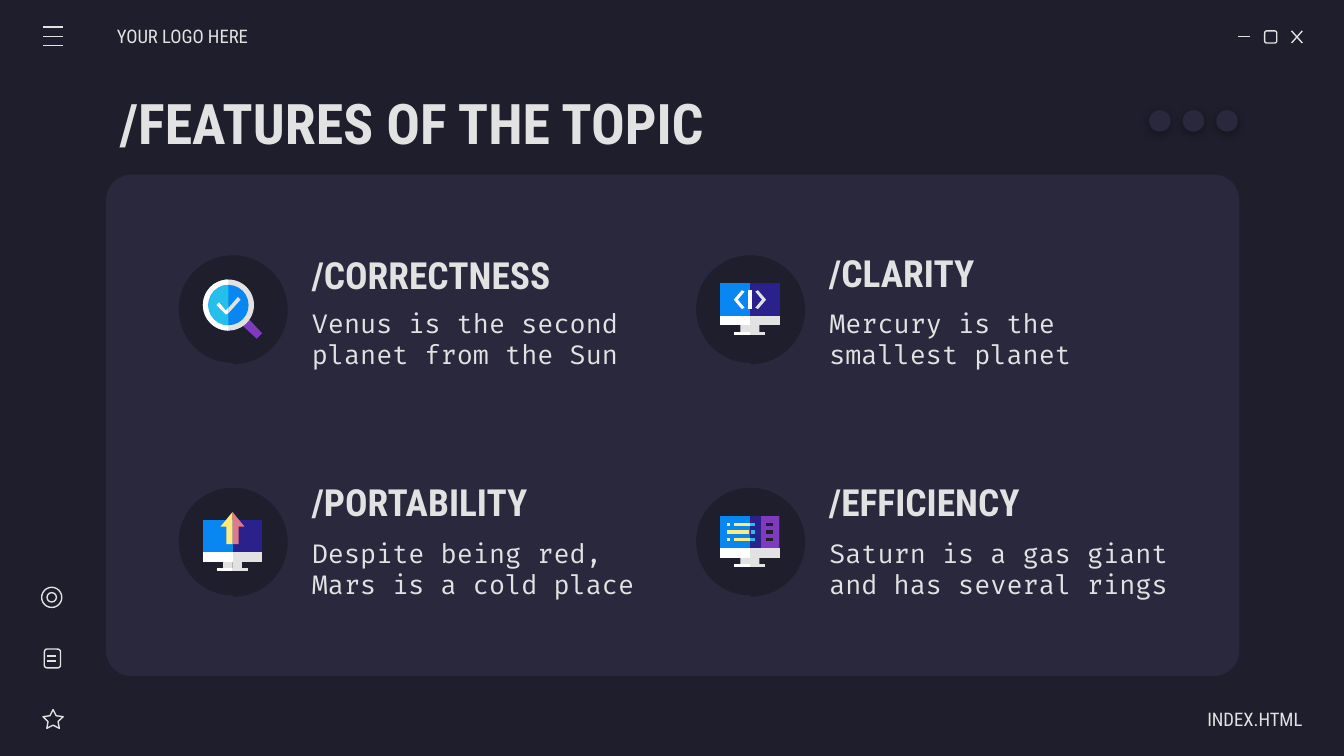
from lxml import etree
from pptx import Presentation
from pptx.dml.color import RGBColor
from pptx.enum import shapes, text
from pptx.oxml.ns import qn
from pptx.util import Inches, Pt

C = {"bg": "1E1E2C", "panel": "29283D", "light": "E2E2E2", "white": "FFFFFF",
     "blue": "0887F2", "indigo": "2B218D", "cyan": "24BFEB", "purple": "7E3BBE",
     "yellow": "FFEA7D", "pink": "E07A88", "black": "000000"}
KIND = shapes.MSO_SHAPE
CONDENSED, MONO = "Roboto Condensed", "Fira Code"
LABEL = {"name": CONDENSED, "size": Pt(10), "bold": False}
TITLE = {"name": CONDENSED, "size": Pt(30), "bold": True}
HEADING = {"name": CONDENSED, "size": Pt(20), "bold": True}
BODY = {"name": MONO, "size": Pt(14), "bold": False}


def rgb(name):
    return RGBColor.from_string(C[name])


def set_attrs(obj, values):
    for name, value in values.items():
        setattr(obj, name, value)


def add_filled(s, kind, box, color, adj=()):
    sp = s.shapes.add_shape(kind, *map(Inches, box))
    for i, value in enumerate(adj):
        sp.adjustments[i] = value
    sp.shadow.inherit = False
    sp.fill.solid()
    sp.fill.fore_color.rgb = rgb(color)
    sp.line.fill.background()
    return sp


def add_outline(s, kind, box):
    sp = s.shapes.add_shape(kind, *map(Inches, box))
    sp.shadow.inherit = False
    sp.fill.background()
    sp.line.color.rgb = rgb("light")
    sp.line.width = Pt(0.75)
    return sp


def add_line(s, *ends):
    ln = s.shapes.add_connector(shapes.MSO_CONNECTOR.STRAIGHT, *map(Inches, ends))
    ln.line.color.rgb = rgb("light")
    ln.line.width = Pt(0.75)
    etree.SubElement(ln._element.spPr, qn("a:effectLst"))


def add_polygon(s, center, color, points):
    """Points are hundredths of an inch from the center."""
    pts = [(round(x * 10), round(y * 10)) for x, y in points]
    builder = s.shapes.build_freeform(*pts[0], scale=914.4)
    builder.add_line_segments(pts[1:], close=True)
    sp = builder.convert_to_shape(*map(Inches, center))
    sp.shadow.inherit = False
    sp.fill.solid()
    sp.fill.fore_color.rgb = rgb(color)
    sp.line.fill.background()


def rect(x0, y0, x1, y1):
    return [(x0, y0), (x1, y0), (x1, y1), (x0, y1)]


def add_mirrored(s, center, left, right, points):
    add_polygon(s, center, left, points)
    add_polygon(s, center, right, [(-x, y) for x, y in points])


def write(sp, words, fmt, align=text.PP_ALIGN.LEFT, left=0.1, right=0.1):
    tf = sp.text_frame
    tf.text = words
    set_attrs(tf, {"word_wrap": True, "auto_size": text.MSO_AUTO_SIZE.NONE,
                   "vertical_anchor": text.MSO_ANCHOR.MIDDLE,
                   "margin_left": Inches(left), "margin_right": Inches(right),
                   "margin_top": Inches(0.1), "margin_bottom": Inches(0.1)})
    p = tf.paragraphs[0]
    p.alignment = align
    r = p.runs[0]
    set_attrs(r.font, fmt)
    r.font.color.rgb = rgb("light")


def add_text(s, box, words, fmt, **layout):
    write(s.shapes.add_textbox(*map(Inches, box)), words, fmt, **layout)


def fill_placeholder(s, ph, box, words, fmt):
    """Place the placeholder, drop its bullet and bring it to the front."""
    set_attrs(ph, dict(zip(("left", "top", "width", "height"), map(Inches, box))))
    write(ph, words, fmt)
    p = ph.text_frame.paragraphs[0]
    pPr = p._p.get_or_add_pPr()
    pPr.set("marL", "0")
    pPr.set("indent", "0")
    etree.SubElement(pPr, qn("a:buNone"))
    p.space_before = Pt(0)
    s.shapes.element.append(ph.element)


def add_monitor(s, c, chin):
    add_mirrored(s, c, "blue", "indigo", rect(-22, chin - 24, 0, chin))
    add_mirrored(s, c, "light", "light",
                 [(0, chin + 6), (-7, chin + 7), (-7, chin + 13), (0, chin + 13)])
    add_mirrored(s, c, "white", "light", rect(-11.5, chin + 12, 0, chin + 14))
    add_mirrored(s, c, "white", "light", rect(-22, chin, 0, chin + 7))


def add_magnifier(s, c):
    add_polygon(s, c, "purple", [(10, 5), (5, 10), (18, 22), (22, 18)])
    x, y = c[0] - 0.03, c[1] - 0.03
    for radius, left, right in ((0.19, "white", "light"), (0.15, "cyan", "blue")):
        box = (x - radius, y - radius, 2 * radius, 2 * radius)
        add_filled(s, KIND.OVAL, box, right)
        add_filled(s, KIND.CHORD, box, left, (54, 162))
    add_polygon(s, c, "light", [(4, -9), (-3, -1), (-3, 3), (6, -7)])
    add_polygon(s, c, "white",
                [(-10, -5), (-12, -3), (-5, 4), (-3, 3), (-3, -1), (-5, 1)])


def add_code_screen(s, c):
    add_monitor(s, c, 5)
    add_mirrored(s, c, "white", "light", [(-6, -14), (-12, -7), (-6, 0),
                                          (-4, -1), (-9, -7), (-4, -13)])
    add_polygon(s, c, "white", rect(-1.5, -14, 1.5, 0))


def add_upload_screen(s, c):
    add_monitor(s, c, 8)
    add_mirrored(s, c, "yellow", "pink",
                 [(0, -22), (-9, -11), (-4.5, -11), (-4.5, 2), (0, 2)])


def add_list_screen(s, c):
    add_monitor(s, c, 5)
    add_polygon(s, c, "purple", rect(8, -19, 22, 5))
    for y, bars in ((-14, ((-17, -15), (-12, 0), (0, 4))),
                    (-8.5, ((-17, -1), (1, 4))),
                    (-3, ((-17, -15), (-12, 0), (0, 4)))):
        for x0, x1 in bars:
            add_polygon(s, c, "cyan" if x0 >= 0 else "yellow", rect(x0, y, x1, y + 2.5))
        add_polygon(s, c, "bg", rect(12, y, 17, y + 2.5))


def add_feature(s, ph, x, y, heading, heading_y, body, body_y, add_icon):
    add_filled(s, KIND.OVAL, (x, y, 0.8, 0.8), "bg")
    pie = add_filled(s, KIND.PIE, (x, y, 0.81, 0.81), "bg", (54.39, 162))
    pie.rotation = 180
    add_icon(s, (x + 0.4, y + 0.4))
    add_text(s, (x + 0.89, heading_y, 2.73, 0.43), heading, HEADING)
    fill_placeholder(s, ph, (x + 0.89, body_y, 2.73, 0.56), body, BODY)


def add_window_controls(s):
    add_line(s, 9.21, 0.27, 9.3, 0.27)
    add_outline(s, KIND.ROUNDED_RECTANGLE, (9.41, 0.23, 0.09, 0.09))
    add_line(s, 9.61, 0.23, 9.69, 0.32)
    add_line(s, 9.69, 0.23, 9.61, 0.32)


def add_sidebar(s):
    for y in (0.2, 0.27, 0.34):
        add_line(s, 0.32, y, 0.47, y)
    star = add_outline(s, KIND.STAR_5_POINT, (0.32, 5.28, 0.15, 0.14))
    star.adjustments[0] = 0.25
    add_outline(s, KIND.ROUNDED_RECTANGLE, (0.33, 4.83, 0.12, 0.14))
    for y in (4.88, 4.92):
        add_line(s, 0.35, y, 0.42, y)
    add_outline(s, KIND.OVAL, (0.31, 4.37, 0.15, 0.15))
    add_outline(s, KIND.OVAL, (0.35, 4.41, 0.07, 0.07))


def add_shadowed_dot(s, x):
    sp = add_filled(s, KIND.OVAL, (x, 0.82, 0.16, 0.16), "panel")
    effects = sp._element.spPr.find(qn("a:effectLst"))
    shadow = etree.SubElement(effects, qn("a:outerShdw"), blurRad=str(Pt(4.5)),
                              dist=str(Pt(1.5)), dir="5400000")
    color = etree.SubElement(shadow, qn("a:srgbClr"), val=C["black"])
    etree.SubElement(color, qn("a:alpha"), val="30000")


def main():
    prs = Presentation()
    prs.slide_width, prs.slide_height = Inches(10), Inches(10 * 9 / 16)
    s = prs.slides.add_slide(prs.slide_layouts.get_by_name("Comparison"))
    s.background.fill.solid()
    s.background.fill.fore_color.rgb = rgb("bg")
    title, *bodies = list(s.placeholders)

    add_filled(s, KIND.ROUNDED_RECTANGLE, (0.79, 1.3, 8.43, 3.73), "panel", (0.05,))
    add_window_controls(s)
    add_sidebar(s)
    add_text(s, (0.87, 0.12, 1.17, 0.3), "YOUR LOGO HERE", LABEL, left=0)
    add_text(s, (8.52, 5.2, 1.17, 0.3), "INDEX.HTML", LABEL,
             align=text.PP_ALIGN.RIGHT, right=0)
    fill_placeholder(s, title, (0.79, 0.59, 8.43, 0.63), "/FEATURES OF THE TOPIC", TITLE)

    features = (
        ("/CORRECTNESS", 1.83, "Venus is the second planet from the Sun", 2.24, add_magnifier),
        ("/CLARITY", 1.81, "Mercury is the smallest planet", 2.24, add_code_screen),
        ("/PORTABILITY", 3.52, "Despite being red, Mars is a cold place", 3.95, add_upload_screen),
        ("/EFFICIENCY", 3.52, "Saturn is a gas giant and has several rings", 3.95, add_list_screen),
    )
    for i, (ph, feature) in enumerate(zip(bodies, features)):
        row, col = divmod(i, 2)
        add_feature(s, ph, 1.33 + 3.85 * col, 1.9 + 1.73 * row, *feature)
    for i in range(3):
        add_shadowed_dot(s, 8.55 + 0.25 * i)
    prs.save("out.pptx")


if __name__ == "__main__":
    main()
